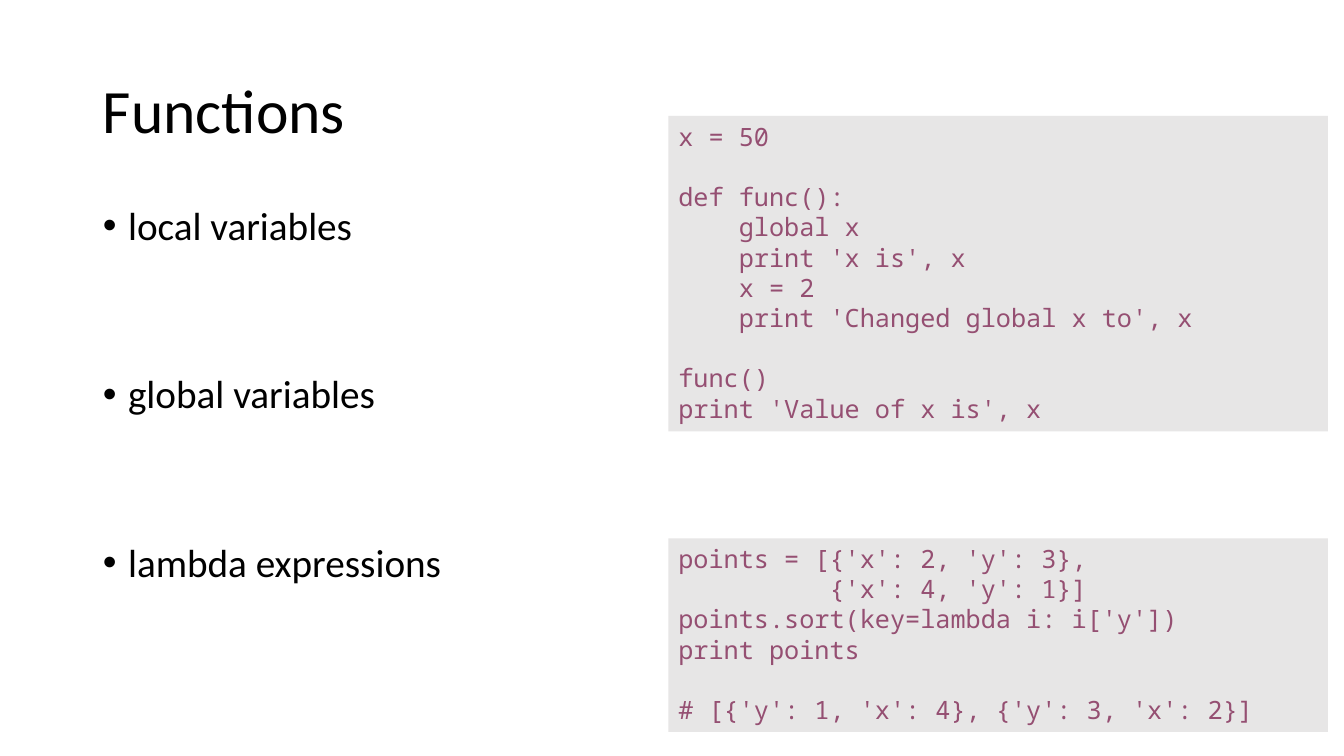
"""Build the slide on Python functions: scopes and lambda expressions."""
from dataclasses import dataclass

from pptx import Presentation
from pptx.dml.color import RGBColor
from pptx.enum.shapes import MSO_SHAPE
from pptx.enum.text import MSO_ANCHOR, MSO_AUTO_SIZE, PP_ALIGN
from pptx.util import Emu, Pt

PX = 9144
BLACK = RGBColor(0x00, 0x00, 0x00)
GREY = RGBColor(0xE7, 0xE6, 0xE6)
PLUM = RGBColor(0x95, 0x4F, 0x72)
BODY_FONT = "Calibri"
CODE_FONT = "Noto Sans Mono"
RECTANGLE = MSO_SHAPE.RECTANGLE
TOP, MIDDLE = MSO_ANCHOR.TOP, MSO_ANCHOR.MIDDLE
LEFT = PP_ALIGN.LEFT
FIXED, GROW = MSO_AUTO_SIZE.NONE, MSO_AUTO_SIZE.SHAPE_TO_FIT_TEXT
CODE_LEFT, CODE_WIDTH = 663, 654
BULLET_INDENT = 25
TOPIC_GAP = 90


@dataclass
class Box:
    left: int
    top: int
    width: int
    height: int

    def emu(self) -> tuple[Emu, ...]:
        """Return the four lengths in EMU."""
        return tuple(Emu(v * PX) for v in (self.left, self.top, self.width, self.height))


@dataclass
class CodeBlock:
    top: int
    height: int
    code: str


TITLE_BOX = Box(92, 40, 1150, 145)
TOPICS_BOX = Box(92, 200, 571, 476)
TOPICS = ["local variables", "global variables", "lambda expressions"]
CODE_BLOCKS = [
    CodeBlock(115, 313, """x = 50

def func():
    global x
    print 'x is', x
    x = 2
    print 'Changed global x to', x

func()
print 'Value of x is', x"""),
    CodeBlock(534, 192, """points = [{'x': 2, 'y': 3},
          {'x': 4, 'y': 1}]
points.sort(key=lambda i: i['y'])
print points

# [{'y': 1, 'x': 4}, {'y': 3, 'x': 2}]"""),
]


def format_text(tf, font: str, size: int, color: RGBColor, anchor, fit) -> None:
    """Left-align the text and format its runs."""
    tf.word_wrap = True
    tf.auto_size = fit
    tf.vertical_anchor = anchor
    for p in tf.paragraphs:
        p.alignment = LEFT
        for r in p.runs:
            r.font.name = font
            r.font.size = Pt(size)
            r.font.color.rgb = color


def fill_placeholder(sp, box: Box, text: str, size: int, anchor) -> None:
    """Move a placeholder and set its text."""
    sp.left, sp.top, sp.width, sp.height = box.emu()
    tf = sp.text_frame
    tf.text = text
    format_text(tf, BODY_FONT, size, BLACK, anchor, FIXED)
    for p in tf.paragraphs:
        p.line_spacing = 0.9
        p.space_before = Pt(0)


def space_topics(tf) -> None:
    """Set the hanging indent and the gaps of the topic list."""
    for i, p in enumerate(tf.paragraphs):
        pPr = p._p.get_or_add_pPr()
        pPr.set("marL", str(BULLET_INDENT * PX))
        pPr.set("indent", str(-BULLET_INDENT * PX))
        p.space_before = Pt(TOPIC_GAP if i else 0)


def add_code(s, block: CodeBlock) -> None:
    """Add a grey panel with a code listing."""
    box = Box(CODE_LEFT, block.top, CODE_WIDTH, block.height)
    sp = s.shapes.add_shape(RECTANGLE, *box.emu())
    sp.shadow.inherit = False
    sp.fill.solid()
    sp.fill.fore_color.rgb = GREY
    sp.line.fill.background()
    sp.text_frame.text = block.code
    format_text(sp.text_frame, CODE_FONT, 18, PLUM, TOP, GROW)


def main() -> None:
    """Build and save the presentation."""
    prs = Presentation()
    prs.slide_width, prs.slide_height = Emu(1333 * PX), Emu(750 * PX)
    s = prs.slides.add_slide(prs.slide_layouts[1])
    fill_placeholder(s.shapes.title, TITLE_BOX, "Functions", 44, MIDDLE)
    body = s.placeholders[1]
    fill_placeholder(body, TOPICS_BOX, "\n".join(TOPICS), 28, TOP)
    space_topics(body.text_frame)
    for block in CODE_BLOCKS:
        add_code(s, block)
    prs.save("out.pptx")


if __name__ == "__main__":
    main()
